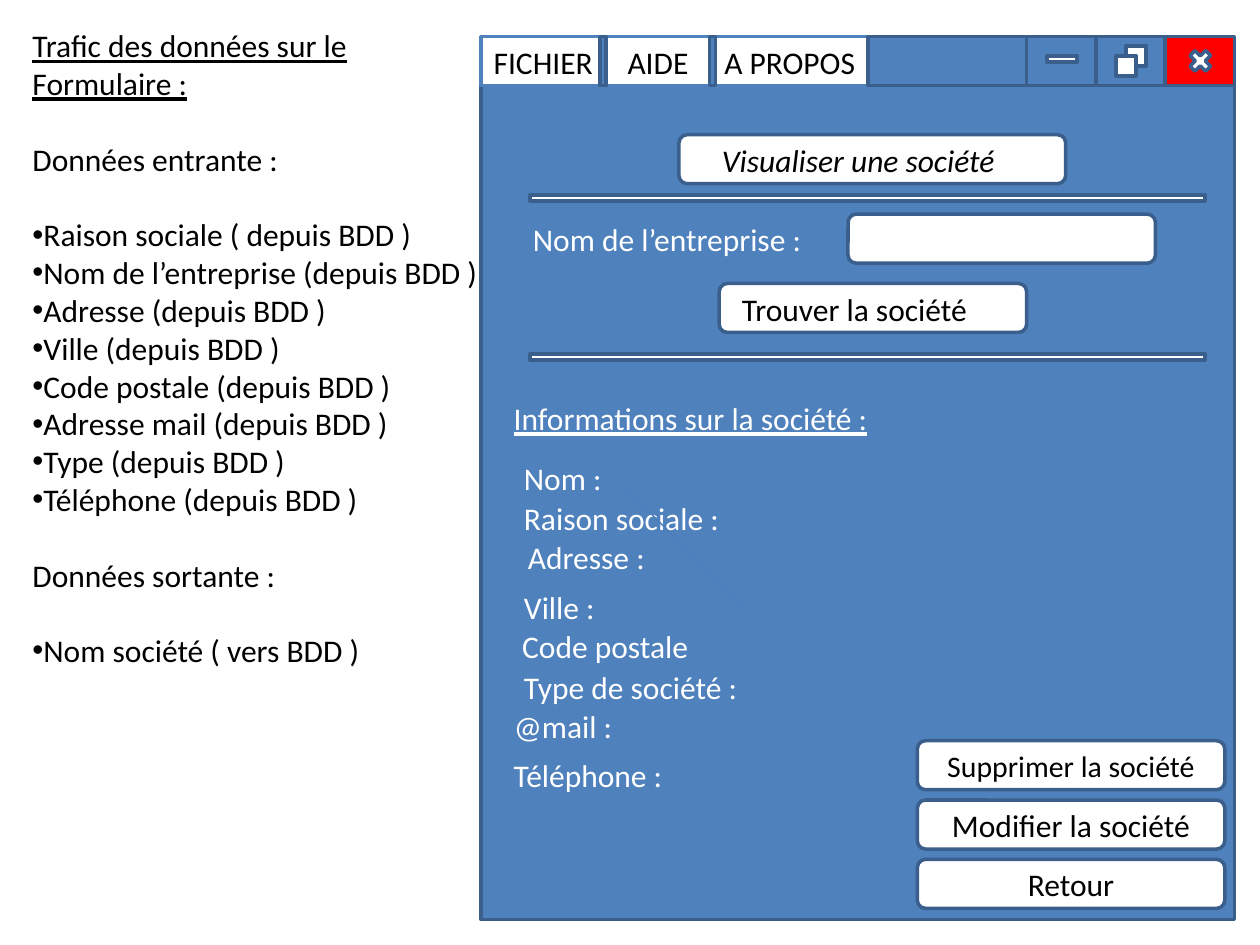
"""Build a slide showing a company form and the data that flows through it."""
from lxml.etree import SubElement as Sub
from pptx import Presentation
from pptx.dml.color import RGBColor
from pptx.enum.shapes import MSO_CONNECTOR as Link, MSO_SHAPE as Kind
from pptx.enum.text import MSO_ANCHOR as Anchor, MSO_AUTO_SIZE as Auto, PP_ALIGN as Align
from pptx.oxml.ns import qn
from pptx.util import Pt

hue = RGBColor.from_string
BLUE, EDGE, WHITE, BLACK, RED = "4F81BD", "3A5F8C", "FFFFFF", "000000", "FF0000"

deck = Presentation()
deck.slide_width, deck.slide_height = Pt(720), Pt(540)
slide = deck.slides.add_slide(deck.slide_layouts[6])
shapes = slide.shapes


def draw(kind, spot, fill=WHITE, edge=EDGE):
    shape = shapes.add_shape(kind, *map(Pt, spot))
    shape.shadow.inherit = False
    shape.fill.solid()
    shape.fill.fore_color.rgb = hue(fill)
    shape.line.color.rgb = hue(edge)
    shape.line.width = Pt(2)
    return shape


def write(para, words, tint=BLACK, **style):
    run = para.add_run()
    run.text = words
    run.font.color.rgb = hue(tint)
    for name, value in ({"name": "Calibri", "size": Pt(18)} | style).items():
        setattr(run.font, name, value)


left, top, wide, bar = 275, 21, 430.5, 28
cell = 39.6
right = left + wide
draw(Kind.RECTANGLE, (left, top, wide, 504.5), BLUE)
draw(Kind.RECTANGLE, (left, top, wide, bar), WHITE, BLUE)
for step, fill in enumerate((RED, BLUE, BLUE), 1):
    draw(Kind.RECTANGLE, (right - step * cell, top, cell, bar), fill)
draw(Kind.RECTANGLE, (598.3, 31.9, 17.2, 3.6))
draw(Kind.MATH_MULTIPLY, (677.3, 26.2, 17.2, 17.2))
for x, y in ((643.5, 26.2), (637.8, 31.9)):
    draw(Kind.RECTANGLE, (x, y, 11.5, 11.5))

menu = shapes.add_textbox(Pt(left), Pt(top), Pt(312), Pt(51)).text_frame
menu.word_wrap = True
write(menu.paragraphs[0], "FICHIER\tAIDE\tA PROPOS")
stops = Sub(menu.paragraphs[0]._p.get_or_add_pPr(), qn("a:tabLst"))
for stop in (76.5, 131.8):
    Sub(stops, qn("a:tab"), pos=str(int(Pt(stop))), algn="l")
for x, w in ((496, 90.7), (342.7, 3.6), (405.4, 3.6)):
    draw(Kind.RECTANGLE, (x, top, w, bar), BLUE)

for x, y, w in ((388, 77, 221), (484.6, 122.4, 175.7), (411, 162, 175.7)):
    draw(Kind.ROUNDED_RECTANGLE, (x, y, w, bar))
for y in (111.4, 202.2):
    draw(Kind.RECTANGLE, (303, y, 385.5, 3.6))

labels = [
    ("Visualiser une société", 405.4, 77, 187, 7.2, BLACK, {"italic": True}),
    ("Nom de l’entreprise :", 297.4, 122.4, 170, 7.2, WHITE, {}),
    ("Trouver la société", 416.9, 162, 145, 7.2, BLACK, {}),
    ("Informations sur la société :", 286.5, 224.6, 219, 7.2, WHITE, {"underline": True}),
    ("Nom :", 292.3, 258.5, 60, 7.2, WHITE, {}),
    ("Raison sociale :", 292.3, 281.5, 127.5, 7.2, WHITE, {}),
    ("Adresse :", 286.5, 303.8, 91, 15.2, WHITE, {}),
    ("Ville :", 292.3, 332.6, 55.5, 7.2, WHITE, {}),
    ("Code postale", 275, 355, 127.5, 23.4, WHITE, {}),
    ("Type de société :", 292.3, 378, 138, 7.2, WHITE, {}),
    ("@mail :", 286.5, 400.3, 82, 7.2, WHITE, {}),
    ("Téléphone :", 286.5, 428.4, 113, 7.2, WHITE, {}),
]
for words, x, y, w, inset, tint, style in labels:
    frame = shapes.add_textbox(Pt(x), Pt(y), Pt(w), Pt(29)).text_frame
    frame.word_wrap = True
    frame.auto_size = Auto.SHAPE_TO_FIT_TEXT
    frame.margin_left = Pt(inset)
    write(frame.paragraphs[0], words, tint, **style)

line = shapes.add_connector(Link.STRAIGHT, *map(Pt, (354.3, 275.8, 426.3, 347.8)))
line.line.color.rgb = hue("4B7EBC")
line.line.width = Pt(0.75)
Sub(line._element.spPr, qn("a:effectLst"))

actions = (("Supprimer la société", 17), ("Modifier la société", 18), ("Retour", 18))
for row, (words, size) in enumerate(actions):
    frame = draw(Kind.ROUNDED_RECTANGLE, (524.2, 423.3 + row * 33.9, 175.7, bar)).text_frame
    frame.vertical_anchor = Anchor.MIDDLE
    frame.paragraphs[0].alignment = Align.CENTER
    write(frame.paragraphs[0], words, size=Pt(size))

notes = [
    ("Trafic des données sur le", "title"),
    ("Formulaire :", "title"),
    ("Données entrante :", "head"),
    ("Raison sociale ( depuis BDD )", "first"),
    ("Nom de l’entreprise (depuis BDD )", "item"),
    ("Adresse (depuis BDD )", "item"),
    ("Ville (depuis BDD )", "item"),
    ("Code postale (depuis BDD )", "item"),
    ("Adresse mail (depuis BDD )", "item"),
    ("Type (depuis BDD )", "item"),
    ("Téléphone (depuis BDD )", "item"),
    ("Données sortante :", "head"),
    ("Nom société ( vers BDD )", "first"),
]
frame = shapes.add_textbox(Pt(11.5), Pt(11.5), Pt(272), Pt(378)).text_frame
frame.word_wrap = True
frame.auto_size = Auto.SHAPE_TO_FIT_TEXT
for index, (words, role) in enumerate(notes):
    para = frame.add_paragraph() if index else frame.paragraphs[0]
    if role in ("head", "first"):
        para.space_before = Pt(21.6)
    if role in ("first", "item"):
        Sub(para._p.get_or_add_pPr(), qn("a:buFont"), typeface="Arial")
        Sub(para._p.get_or_add_pPr(), qn("a:buChar"), char="•")
    write(para, words, underline=role == "title")

deck.save("out.pptx")
